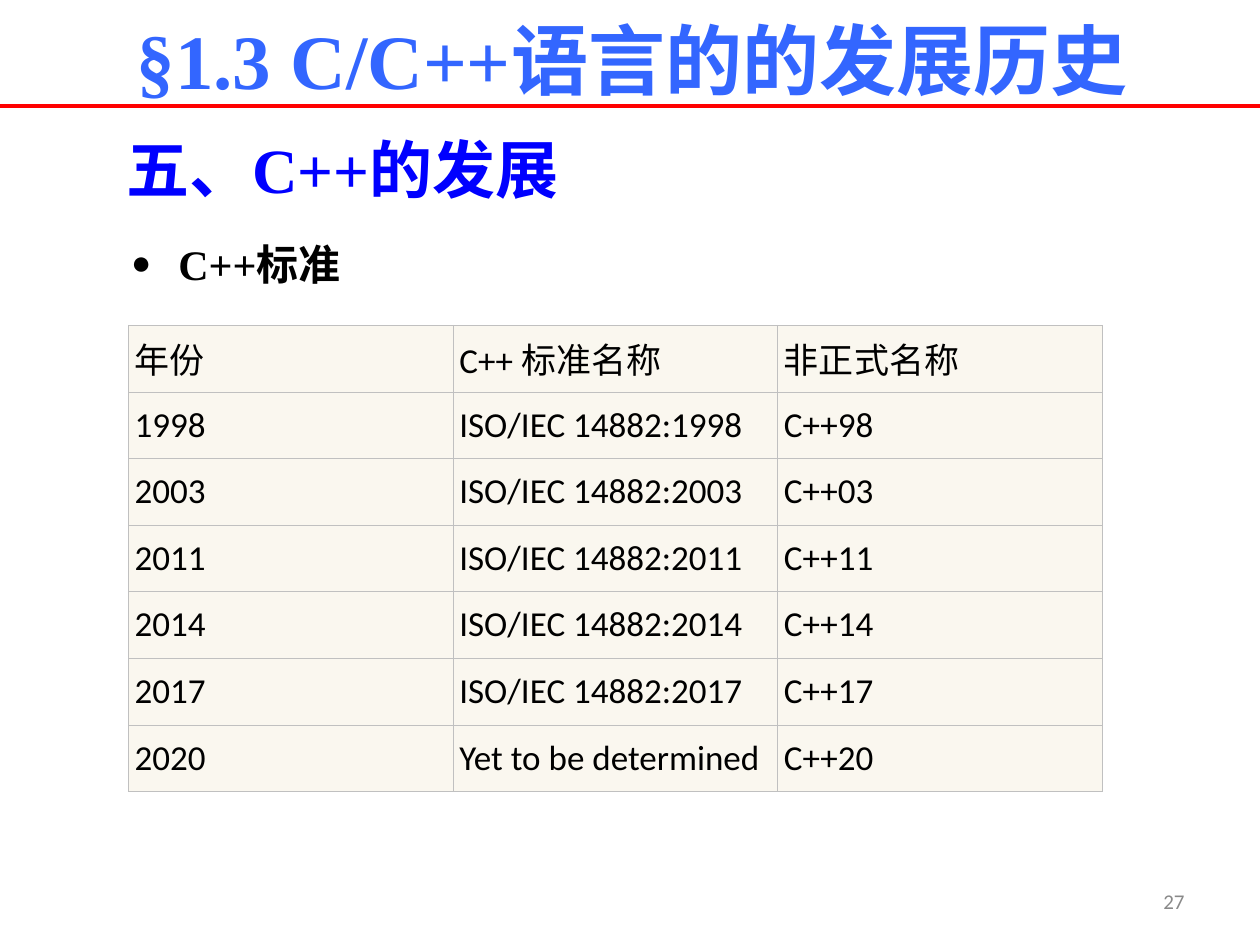
import pptx
import pptx.dml.color
import pptx.enum.shapes
import pptx.enum.text
import pptx.oxml.ns
import pptx.util
from lxml import etree

Pt = pptx.util.Pt
RGBColor = pptx.dml.color.RGBColor
Align = pptx.enum.text.PP_ALIGN
Anchor = pptx.enum.text.MSO_ANCHOR

SKY_BLUE = RGBColor(0x33, 0x66, 0xFF)
BLUE = RGBColor(0x00, 0x00, 0xFF)
RED = RGBColor(0xFF, 0x00, 0x00)
BLACK = RGBColor(0x00, 0x00, 0x00)
GREY = RGBColor(0x89, 0x89, 0x89)
SILVER = RGBColor(0xC0, 0xC0, 0xC0)
IVORY = RGBColor(0xFA, 0xF7, 0xEF)

YEARS = (1998, 2003, 2011, 2014, 2017)
STANDARDS = [
    ("年份", "C++ 标准名称", "非正式名称"),
    *((str(year), f"ISO/IEC 14882:{year}", f"C++{year % 100:02d}") for year in YEARS),
    ("2020", "Yet to be determined", "C++20"),
]


def add_element(parent, tag, **attributes):
    return etree.SubElement(parent, pptx.oxml.ns.qn(tag), **attributes)


class SlideBuilder:
    serif = "Times New Roman"
    sans = "Calibri"

    def __init__(self, slide):
        self.slide = slide

    def set_text(self, frame, text, size, color, font, bold=False, align=Align.LEFT):
        frame.text = text
        paragraph = frame.paragraphs[0]
        paragraph.alignment = align
        paragraph.space_before = Pt(0)
        paragraph.font.name = font
        paragraph.font.size = Pt(size)
        paragraph.font.bold = bold
        paragraph.font.color.rgb = color

    def fit(self, shape, box, anchor):
        """Place the shape and return its text frame, ready for text."""
        shape.left, shape.top, shape.width, shape.height = map(Pt, box)
        frame = shape.text_frame
        frame.word_wrap = True
        frame.auto_size = pptx.enum.text.MSO_AUTO_SIZE.NONE
        frame.vertical_anchor = anchor
        return frame

    def rule(self, y, color, weight):
        """Draw a line across the full width of the slide."""
        line = self.slide.shapes.add_connector(
            pptx.enum.shapes.MSO_CONNECTOR.STRAIGHT, Pt(0), Pt(y), Pt(720), Pt(y))
        line.line.color.rgb = color
        line.line.width = Pt(weight)
        add_element(line._element.spPr, "a:effectLst")

    def title(self, text, box):
        frame = self.fit(self.slide.shapes.title, box, Anchor.TOP)
        self.set_text(frame, text, 44, SKY_BLUE, self.serif, True, Align.CENTER)

    def text(self, text, box, size, color, font, bold=False,
             align=Align.LEFT, anchor=Anchor.TOP):
        frame = self.fit(self.slide.shapes.add_textbox(0, 0, 0, 0), box, anchor)
        self.set_text(frame, text, size, color, font, bold, align)

    def bullet(self, text, box):
        frame = self.fit(self.slide.placeholders[1], box, Anchor.TOP)
        frame.text = text
        paragraph = frame.paragraphs[0]
        properties = paragraph._p.get_or_add_pPr()
        properties.set("marL", str(Pt(27)))
        properties.set("indent", str(-Pt(27)))
        add_element(properties, "a:buSzPct", val="80000")
        add_element(properties, "a:buChar", char="●")
        paragraph.alignment = Align.LEFT
        paragraph.line_spacing = 1.5
        paragraph.space_before = Pt(0)
        paragraph.font.name = self.serif
        paragraph.font.size = Pt(24)
        paragraph.font.bold = True
        paragraph.font.color.rgb = BLACK

    def border(self, cell, color, weight):
        properties = cell._tc.get_or_add_tcPr()
        for side in ("a:lnL", "a:lnR", "a:lnT", "a:lnB"):
            line = add_element(properties, side, w=str(Pt(weight)))
            fill = add_element(line, "a:solidFill")
            add_element(fill, "a:srgbClr", val=str(color))

    def table(self, rows, left, top, column_width, row_height):
        columns = len(rows[0])
        table = self.slide.shapes.add_table(
            len(rows), columns, Pt(left), Pt(top),
            Pt(column_width * columns), Pt(row_height * len(rows))).table
        table.first_row = table.horz_banding = False
        for row, values in zip(table.rows, rows):
            row.height = Pt(row_height)
            for cell, value in zip(row.cells, values):
                self.border(cell, SILVER, 0.34)
                cell.fill.solid()
                cell.fill.fore_color.rgb = IVORY
                cell.margin_left = cell.margin_right = Pt(3.6)
                cell.margin_top = cell.margin_bottom = Pt(3.6)
                cell.vertical_anchor = Anchor.MIDDLE
                self.set_text(cell.text_frame, value, 20, BLACK, self.sans)


def main():
    deck = pptx.Presentation()
    deck.slide_width, deck.slide_height = Pt(720), Pt(540)
    builder = SlideBuilder(deck.slides.add_slide(deck.slide_layouts[1]))
    builder.rule(60.5, RED, 2.25)
    builder.text("27", (516, 500.5, 168, 28.8), 12, GREY, builder.sans,
                 align=Align.RIGHT, anchor=Anchor.MIDDLE)
    builder.title("§1.3 C/C++语言的的发展历史", (51, 3.6, 620.6, 60.5))
    builder.text("五、C++的发展", (65, 71.3, 408, 50.4), 36, BLUE, builder.serif, True)
    builder.bullet("C++标准", (67.7, 118, 602, 50.4))
    builder.table(STANDARDS, 73.4, 185.8, 185.5, 38.07)
    deck.save("out.pptx")


if __name__ == "__main__":
    main()
